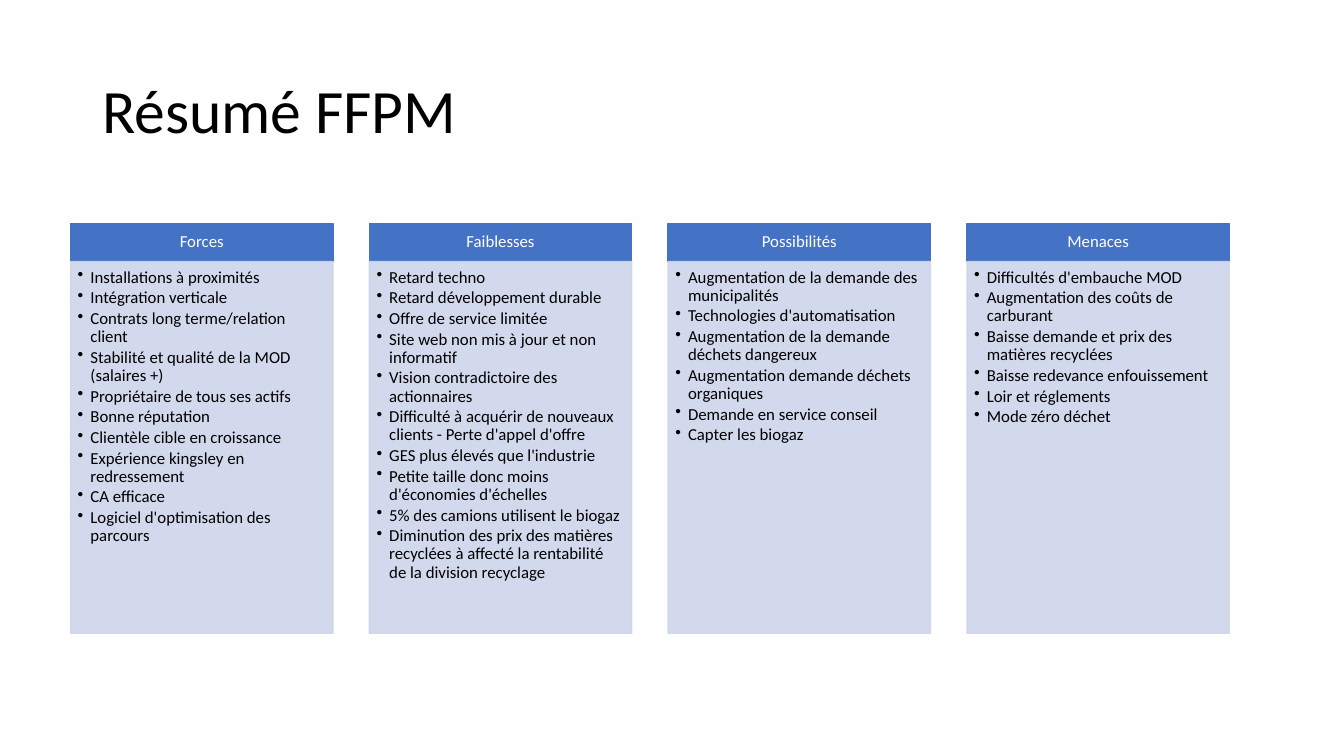
"""Build the FFPM summary slide with its four columns of points."""
from lxml import etree
from pptx import Presentation
from pptx import util as u
from pptx.dml import color
from pptx.enum import shapes, text
from pptx.oxml import ns

COLUMNS = {
    "Forces": [
        "Installations à proximités",
        "Intégration verticale",
        "Contrats long terme/relation client",
        "Stabilité et qualité de la MOD (salaires +)",
        "Propriétaire de tous ses actifs",
        "Bonne réputation",
        "Clientèle cible en croissance",
        "Expérience kingsley en redressement",
        "CA efficace",
        "Logiciel d'optimisation des parcours",
    ],
    "Faiblesses": [
        "Retard techno",
        "Retard développement durable",
        "Offre de service limitée",
        "Site web non mis à jour et non informatif",
        "Vision contradictoire des actionnaires",
        "Difficulté à acquérir de nouveaux clients - Perte d'appel d'offre",
        "GES plus élevés que l'industrie",
        "Petite taille donc moins d'économies d'échelles",
        "5% des camions utilisent le biogaz",
        "Diminution des prix des matières recyclées à affecté la rentabilité "
        "de la division recyclage",
    ],
    "Possibilités": [
        "Augmentation de la demande des municipalités",
        "Technologies d'automatisation",
        "Augmentation de la demande déchets dangereux",
        "Augmentation demande déchets organiques",
        "Demande en service conseil",
        "Capter les biogaz",
    ],
    "Menaces": [
        "Difficultés d'embauche MOD",
        "Augmentation des coûts de carburant",
        "Baisse demande et prix des matières recyclées",
        "Baisse redevance enfouissement",
        "Loir et réglements",
        "Mode zéro déchet",
    ],
}


def rgb(code):
    return color.RGBColor.from_string(code)


class Deck:
    """Holds the style and the current slide."""
    font = "Calibri"
    ink = "000000"
    blue = "4472C4"
    pale = "CFD5EA"

    def __init__(self, wide, high):
        self.show = Presentation()
        self.show.slide_width = u.Cm(wide)
        self.show.slide_height = u.Cm(high)
        self.slide = self.show.slides.add_slide(self.show.slide_layouts[6])

    def label(self, shape, lines, size, ink, inset, anchor, align, after=0, bullet=False):
        frame = shape.text_frame
        frame.word_wrap = True
        frame.vertical_anchor = anchor
        (frame.margin_left, frame.margin_top,
         frame.margin_right, frame.margin_bottom) = map(u.Cm, inset)
        frame.text = "\n".join(lines)
        for para in frame.paragraphs:
            para.alignment = align
            para.line_spacing = 0.9
            para.space_after = u.Pt(after)
            if bullet:
                self.bullet(para)
            para.font.name = self.font
            para.font.size = u.Pt(size)
            para.font.color.rgb = rgb(ink)

    def bullet(self, para):
        para.level = 1
        props = para._p.get_or_add_pPr()
        indent = u.Cm(0.32)
        props.set("marL", str(indent))
        props.set("indent", str(-indent))
        etree.SubElement(props, ns.qn("a:buChar"), char="•")

    def title(self, words, left, top, wide, high):
        box = self.slide.shapes.add_textbox(*map(u.Cm, (left, top, wide, high)))
        self.label(box, [words], 44, self.ink, (0.25, 0.13, 0.25, 0.13),
                   text.MSO_ANCHOR.MIDDLE, text.PP_ALIGN.LEFT)

    def block(self, left, top, wide, high, tone, alpha=100):
        shape = self.slide.shapes.add_shape(
            shapes.MSO_SHAPE.RECTANGLE, *map(u.Cm, (left, top, wide, high)))
        shape.shadow.inherit = False
        shape.fill.solid()
        shape.fill.fore_color.rgb = rgb(tone)
        shape.line.color.rgb = rgb(tone)
        shape.line.width = u.Pt(1)
        if alpha < 100:
            for node in shape._element.spPr.iter(ns.qn("a:srgbClr")):
                etree.SubElement(node, ns.qn("a:alpha"), val=str(alpha * 1000))
        return shape

    def column(self, head, points, left, top, wide, cap, high):
        bar = self.block(left, top, wide, cap, self.blue)
        self.label(bar, [head], 12, "FFFFFF", (0.24, 0.14, 0.24, 0.14),
                   text.MSO_ANCHOR.MIDDLE, text.PP_ALIGN.CENTER)
        body = self.block(left, top + cap, wide, high, self.pale, 90)
        self.label(body, points, 12, self.ink, (0.18, 0.18, 0.24, 0.25),
                   text.MSO_ANCHOR.TOP, text.PP_ALIGN.LEFT, 1.8, True)

    def save(self):
        self.show.save("out.pptx")


def main():
    deck = Deck(33.87, 19.05)
    deck.title("Résumé FFPM", 2.33, 1.01, 29.21, 3.68)
    for i, (head, points) in enumerate(COLUMNS.items()):
        deck.column(head, points, 1.78 + 7.53 * i, 5.63, 6.61, 0.96, 9.37)
    deck.save()


if __name__ == "__main__":
    main()
